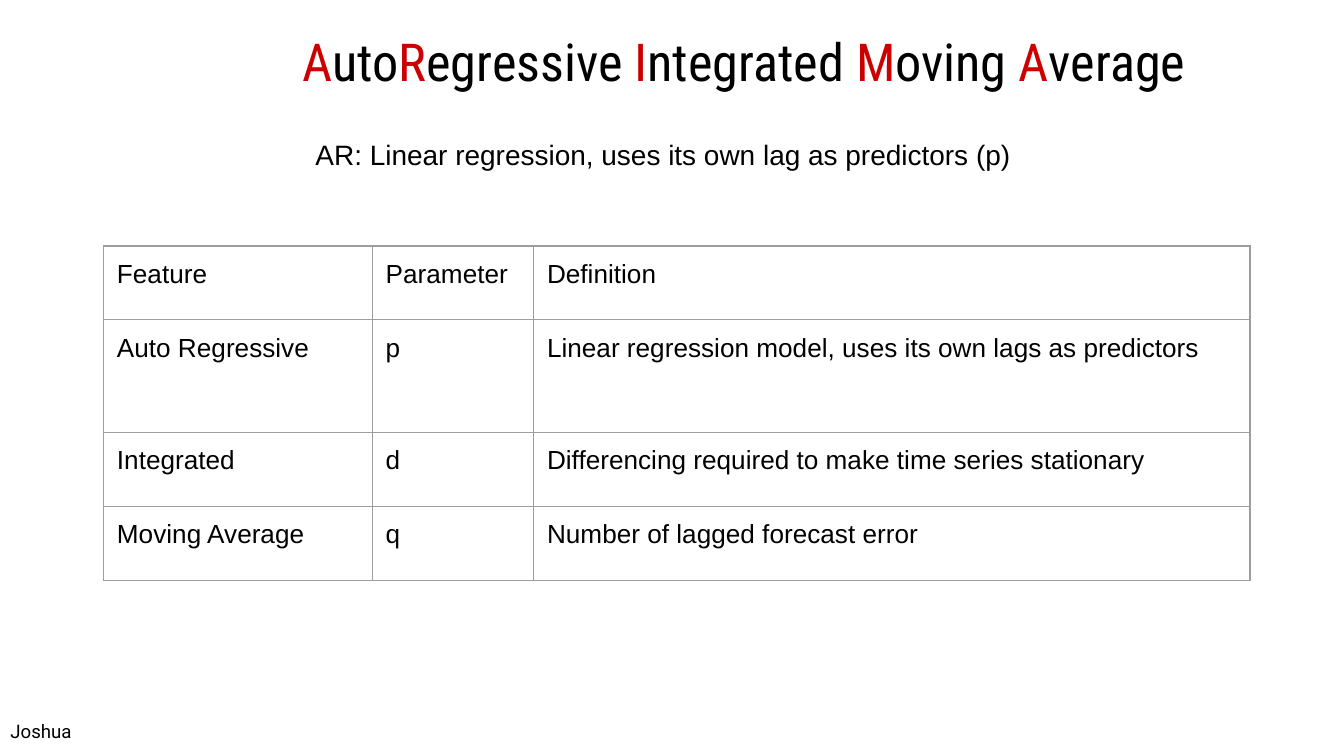
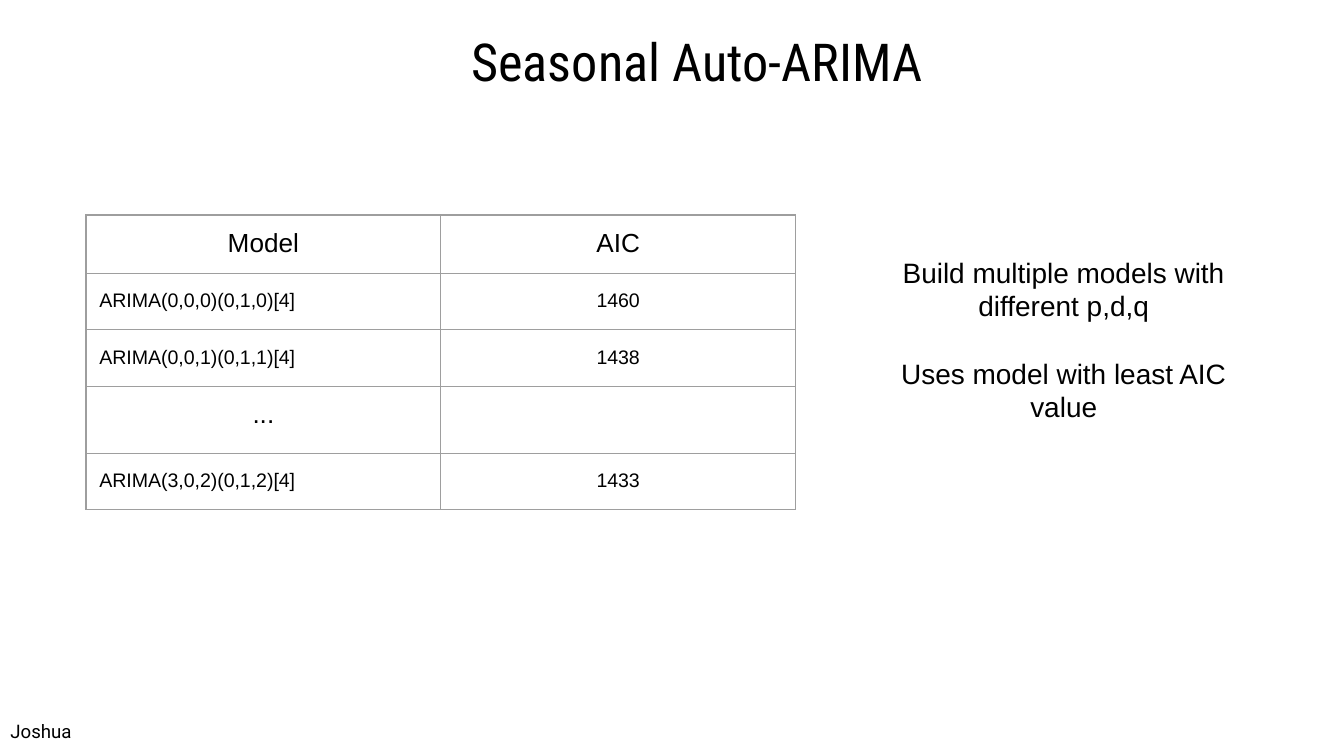
from lxml.etree import SubElement
from pptx import Presentation
from pptx.dml.color import RGBColor
from pptx.enum.text import MSO_ANCHOR, MSO_AUTO_SIZE, PP_ALIGN
from pptx.oxml.ns import qn
from pptx.util import Inches, Pt

COLOURS = {"text": "000000", "initial": "CC0000", "border": "9E9E9E"}
TITLE = {"size": Pt(28), "name": "Roboto Condensed"}
STATEMENT = {"size": Pt(15), "name": "Arial"}
CELL = {"size": Pt(14), "name": "Arial"}
SMALL_CELL = {"size": Pt(10.5), "name": "Arial"}
EMPTY_CELL = {"size": Pt(18), "name": "Arial"}
PRESENTER = {"size": Pt(10), "name": "Roboto"}
LEFT, CENTRE = PP_ALIGN.LEFT, PP_ALIGN.CENTER

# Title parts are (wording, colour); boxes are (left, top, width, height).
ARIMA = {
    "title": [
        ("A", "initial"), ("uto", "text"),
        ("R", "initial"), ("egressive ", "text"),
        ("I", "initial"), ("ntegrated ", "text"),
        ("M", "initial"), ("oving ", "text"),
        ("A", "initial"), ("verage", "text"),
    ],
    "title_left": 1.96,
    "statements": ["AR: Linear regression, uses its own lag as predictors (p)"],
    "statements_box": (0.5, 0.92, 8.87, 0.45),
    "rows": [
        ("Feature", "Parameter", "Definition"),
        ("Auto Regressive", "p",
         "Linear regression model, uses its own lags as predictors"),
        ("Integrated", "d", "Differencing required to make time series stationary"),
        ("Moving Average", "q", "Number of lagged forecast error"),
    ],
    "table_at": (0.77, 1.83),
    "widths": [2, 1.2, 5.33],
    "heights": [0.55, 0.84, 0.55, 0.55],
}
SEASONAL = {
    "title": [("Seasonal Auto-ARIMA", "text")],
    "title_left": 1.61,
    "statements": ["Build multiple models with different p,d,q",
                   "Uses model with least AIC value"],
    "statements_box": (6.33, 1.8, 3.17, 1.46),
    "rows": [
        ("Model", "AIC"),
        ("ARIMA(0,0,0)(0,1,0)[4]", "1460"),
        ("ARIMA(0,0,1)(0,1,1)[4]", "1438"),
        ("...", ""),
        ("ARIMA(3,0,2)(0,1,2)[4]", "1433"),
    ],
    "table_at": (0.64, 1.6),
    "widths": [2.64] * 2,
    "heights": [0.42] * 5,
}


def add_typefaces(properties, name, scripts):
    for script in scripts:
        SubElement(properties, qn(f"a:{script}"), typeface=name)


def add_run(paragraph, wording, look, colour="text"):
    run = paragraph.add_run()
    run.text = wording
    for attribute, value in look.items():
        setattr(run.font, attribute, value)
    run.font.color.rgb = RGBColor.from_string(COLOURS[colour])
    add_typefaces(run._r.get_or_add_rPr(), look["name"], ("ea", "cs"))


def size_empty_cell(paragraph):
    size = str(int(EMPTY_CELL["size"].pt * 100))
    ending = SubElement(paragraph._p, qn("a:endParaRPr"), sz=size)
    add_typefaces(ending, EMPTY_CELL["name"], ("latin", "ea", "cs"))


def set_margins(holder):
    for side in ("left", "top", "right", "bottom"):
        setattr(holder, f"margin_{side}", Inches(0.1))


def add_title(slide, parts, left):
    title = slide.shapes.title
    place = {"left": left, "top": -0.02, "width": 7.15, "height": 0.94}
    for attribute, value in place.items():
        setattr(title, attribute, Inches(value))
    frame = title.text_frame
    set_margins(frame)
    frame.auto_size = MSO_AUTO_SIZE.NONE
    frame.vertical_anchor = MSO_ANCHOR.MIDDLE
    frame.paragraphs[0].alignment = CENTRE
    for wording, colour in parts:
        add_run(frame.paragraphs[0], wording, TITLE, colour)


def add_text(slide, box, lines, look, alignment):
    frame = slide.shapes.add_textbox(*map(Inches, box)).text_frame
    set_margins(frame)
    frame.word_wrap = True
    frame.auto_size = MSO_AUTO_SIZE.SHAPE_TO_FIT_TEXT
    for index, line in enumerate(lines):
        paragraph = frame.add_paragraph() if index else frame.paragraphs[0]
        paragraph.alignment = alignment
        if index:
            paragraph.space_before = Pt(18)
        add_run(paragraph, line, look)


def add_borders(cell):
    properties = cell._tc.get_or_add_tcPr()
    for position, edge in enumerate(("lnL", "lnR", "lnT", "lnB")):
        line = properties.makeelement(qn(f"a:{edge}"), {"w": str(Pt(0.75))})
        fill = SubElement(line, qn("a:solidFill"))
        SubElement(fill, qn("a:srgbClr"), val=COLOURS["border"])
        properties.insert(position, line)


def add_grid(slide, content, cell_style):
    """Draw the bordered table; cell_style gives look, alignment and line spacing."""
    rows, widths, heights = (content[key] for key in ("rows", "widths", "heights"))
    size = (sum(widths), sum(heights))
    table = slide.shapes.add_table(
        len(rows), len(widths), *map(Inches, content["table_at"] + size)).table
    table.first_row = table.horz_banding = False
    for column, width in zip(table.columns, widths):
        column.width = Inches(width)
    for r, (row, height) in enumerate(zip(rows, heights)):
        table.rows[r].height = Inches(height)
        for c, wording in enumerate(row):
            cell = table.cell(r, c)
            set_margins(cell)
            cell.fill.background()
            add_borders(cell)
            paragraph = cell.text_frame.paragraphs[0]
            if wording:
                look, alignment, spacing = cell_style(wording)
                paragraph.alignment = alignment
                paragraph.line_spacing = spacing
                add_run(paragraph, wording, look)
            else:
                size_empty_cell(paragraph)


def feature_style(wording):
    return CELL, LEFT, 1.0


def model_style(wording):
    if wording.startswith("ARIMA"):
        return SMALL_CELL, LEFT, 1.15
    if wording.isdigit():
        return SMALL_CELL, CENTRE, 1.15
    return CELL, CENTRE, 1.0


def main():
    deck = Presentation()
    deck.slide_width = Inches(10)
    deck.slide_height = deck.slide_width * 9 // 16
    title_only = deck.slide_layouts[5]
    for content, cell_style in ((ARIMA, feature_style), (SEASONAL, model_style)):
        slide = deck.slides.add_slide(title_only)
        add_title(slide, content["title"], content["title_left"])
        add_text(slide, content["statements_box"], content["statements"],
                 STATEMENT, CENTRE)
        add_grid(slide, content, cell_style)
        add_text(slide, (-0.02, 5.27, 1.04, 0.37), ["Joshua"], PRESENTER, LEFT)
    deck.save("out.pptx")


if __name__ == "__main__":
    main()
